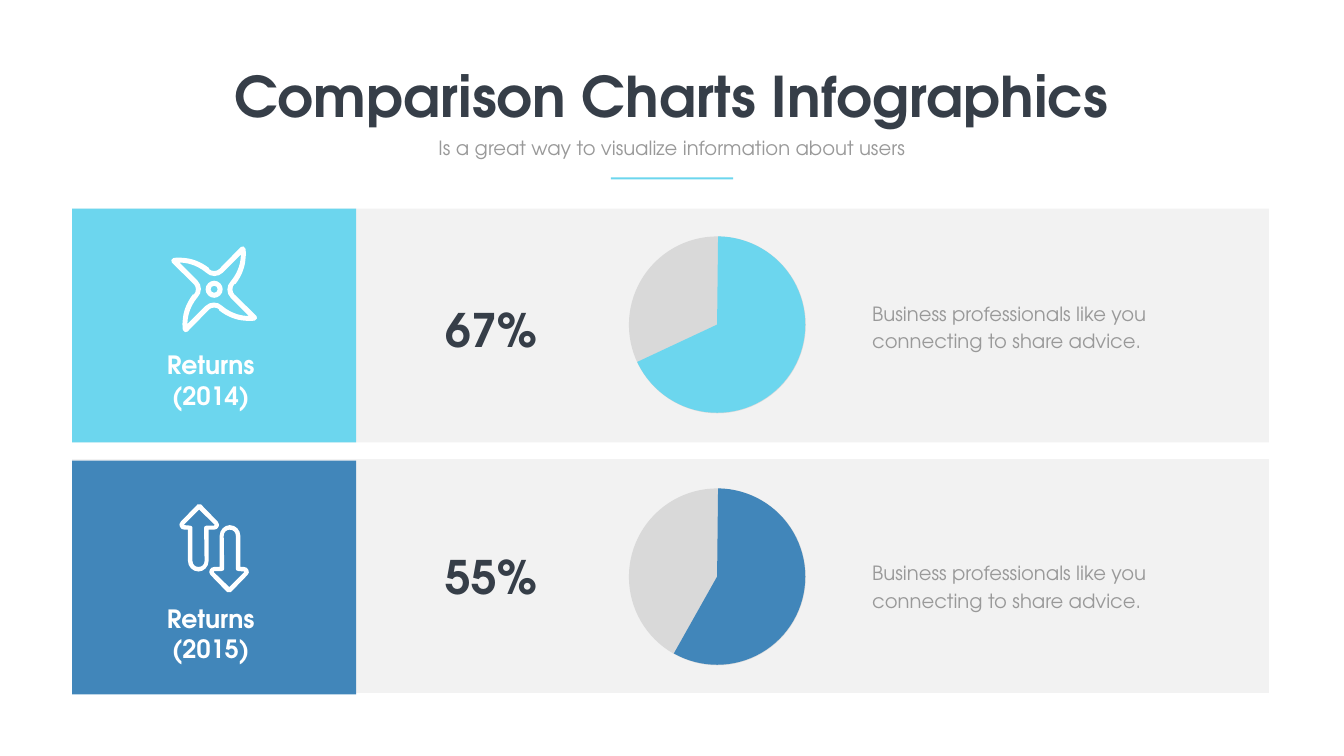
from math import cos, radians, sin

from lxml import etree
from pptx import Presentation
from pptx.dml.color import RGBColor
from pptx.enum.shapes import MSO_SHAPE
from pptx.enum.text import MSO_ANCHOR, MSO_AUTO_SIZE, PP_ALIGN
from pptx.oxml.ns import qn
from pptx.util import Inches, Pt

RECT, OVAL, PIE = MSO_SHAPE.RECTANGLE, MSO_SHAPE.OVAL, MSO_SHAPE.PIE
LEFT, CENTER = PP_ALIGN.LEFT, PP_ALIGN.CENTER
TOP, GROW = MSO_ANCHOR.TOP, MSO_AUTO_SIZE.SHAPE_TO_FIT_TEXT
FONT = "TeX Gyre Adventor"
COLORS = {"dark": "363E48", "gray": "999999", "band": "F2F2F2", "rest": "D9D9D9",
          "cyan": "6CD6EE", "blue": "4186BA", "white": "FFFFFF"}

MARGIN, BAND_W, TILE_W, ROW_H = 1.43, 23.75, 5.64, 4.64
FIRST_ROW, PITCH = 4.14, 5
ICON_X = 4.25

STAR = [
    (4, -90, [(.84, .53), (.4, .1), (.35, .05, .35, -.05, .4, -.1), (.42, -.1),
              (.56, -.28, .61, -.46, .62, -.58), (.64, -.72, .62, -.81, .62, -.81),
              (.61, -.83, .6, -.84, .58, -.85), (.56, -.85, .54, -.85, .53, -.84)]),
    (4, 90, [(.17, .34), (.16, .33), (.07, .24, -.08, .24, -.17, .33), (-.53, .69),
             (-.53, .57, -.5, .37, -.34, .17)]),
    (4, 90, [(.17, 0), (.17, .09, .09, .17, 0, .17)]),
    (4, 90, [(.07, 0), (.07, .04, .04, .07, 0, .07)]),
]
ARROW_OUTER = [
    (-.31, .46), (-.43, .46, -.52, .36, -.52, .25), (-.52, -.37), (-.59, -.37),
    (-.63, -.37, -.67, -.39, -.68, -.43), (-.7, -.46, -.69, -.5, -.66, -.53),
    (-.33, -.87), (-.31, -.88, -.28, -.88, -.26, -.87), (.07, -.53),
    (.1, -.5, .1, -.46, .09, -.43), (.07, -.39, .04, -.37, 0, -.37),
    (-.11, -.37), (-.11, .25), (-.11, .36, -.2, .46, -.31, .46)]
ARROW_INNER = [
    (-.3, -.77), (-.6, -.47), (-.6, -.46, -.59, -.46, -.59, -.46), (-.48, -.45),
    (-.45, -.45, -.43, -.43, -.43, -.41), (-.43, .25), (-.43, .32, -.38, .37, -.31, .37),
    (-.24, .37, -.19, .32, -.19, .25), (-.2, -.41), (-.2, -.43, -.18, -.45, -.15, -.45),
    (0, -.45), (.01, -.45, .01, -.46, .01, -.47)]
ARROWS = [(1, turn, path) for path in (ARROW_OUTER, ARROW_INNER) for turn in (0, 180)]

ROWS = [
    {"year": "(2014)", "share": "67%", "color": "cyan", "pie_end": 92.95, "band": 4.14,
     "icon": STAR, "icon_y": 5.74, "label": 6.89, "percent": 5.92, "note": 5.88},
    {"year": "(2015)", "share": "55%", "color": "blue", "pie_end": 71.61, "band": 9.11,
     "icon": ARROWS, "icon_y": 10.88, "label": 11.92, "percent": 10.82, "note": 11.02},
]


def add_block(shapes, kind, x, y, w, h, color):
    sp = shapes.add_shape(kind, Inches(x), Inches(y), Inches(w), Inches(h))
    sp.shadow.inherit = False
    sp.fill.solid()
    sp.fill.fore_color.rgb = RGBColor.from_string(COLORS[color])
    sp.line.fill.background()
    return sp


def put_text(sp, box, lines, size, color, bold=False, align=CENTER, wrap=True, spacing=None):
    sp.left, sp.top, sp.width, sp.height = [Inches(v) for v in box]
    tf = sp.text_frame
    tf.margin_left = tf.margin_right = Inches(.1)
    tf.margin_top = tf.margin_bottom = Inches(.05)
    tf.vertical_anchor = TOP
    tf.word_wrap = wrap
    tf.auto_size = GROW
    for i, line in enumerate(lines):
        p = tf.add_paragraph() if i else tf.paragraphs[0]
        p.alignment = align
        if spacing:
            p.line_spacing = Pt(spacing)
        r = p.add_run()
        r.text = line
        r.font.name = FONT
        r.font.size = Pt(size)
        r.font.bold = bold
        r.font.color.rgb = RGBColor.from_string(COLORS[color])


prs = Presentation()
prs.slide_width, prs.slide_height = Inches(26.67), Inches(15)
s = prs.slides.add_slide(prs.slide_layouts[5])
shapes = s.shapes

put_text(shapes.title, (4.47, 1.17, 17.71, 1.45), ["Comparison Charts Infographics"],
         80, "dark", bold=True, wrap=False)
put_text(shapes.add_textbox(0, 0, 0, 0), (8.55, 2.65, 9.56, .57),
         ["Is a great way to visualize information about users"], 28, "gray")
add_block(shapes, RECT, 12.12, 3.52, 2.43, .04, "cyan")

for i, row in enumerate(ROWS):
    top = FIRST_ROW + i * PITCH
    add_block(shapes, RECT, MARGIN, row["band"], BAND_W, ROW_H, "band")
    add_block(shapes, RECT, MARGIN, top, TILE_W, ROW_H, row["color"])
    put_text(shapes.add_textbox(0, 0, 0, 0), (1.79, row["label"], 4.78, 1.31),
             ["Returns", row["year"]], 36, "white", bold=True)
    put_text(shapes.add_textbox(0, 0, 0, 0), (8.73, row["percent"], 2.04, 1.21),
             [row["share"]], 66, "dark", bold=True, wrap=False)
    put_text(shapes.add_textbox(0, 0, 0, 0), (17.21, row["note"], 6.75, 1.18),
             ["Business professionals like you connecting to share advice."],
             28, "gray", align=LEFT, spacing=38.6)

    pie_group = shapes.add_group_shape()
    add_block(pie_group.shapes, OVAL, 12.48, top + .55, 3.51, 3.51, "rest")
    pie = add_block(pie_group.shapes, PIE, 12.48, top + .55, 3.5, 3.5, row["color"])
    pie.adjustments[0] = 162.39
    pie.adjustments[1] = row["pie_end"]

    builder, controls = None, []
    for copies, turn, path in row["icon"]:
        anchors = []
        for n in range(copies):
            angle = radians(turn * (n if copies > 1 else 1))
            for seg in path[1:] if n else path:
                spots = [(Inches(ICON_X + x * cos(angle) - y * sin(angle)),
                          Inches(row["icon_y"] + x * sin(angle) + y * cos(angle)))
                         for x, y in zip(seg[::2], seg[1::2])]
                if anchors:
                    controls.append(spots[:-1])
                anchors.append(spots[-1])
        if builder is None:
            builder = shapes.build_freeform(*anchors[0])
        else:
            builder.move_to(*anchors[0])
        builder.add_line_segments(anchors[1:], close=True)
    icon = builder.convert_to_shape()
    icon.shadow.inherit = False
    icon.fill.solid()
    icon.fill.fore_color.rgb = RGBColor.from_string(COLORS["white"])
    icon.line.fill.background()
    for line, handles in zip(list(icon.element.iter(qn("a:lnTo"))), controls):
        if handles:
            line.tag = qn("a:cubicBezTo")
            for k, (x, y) in enumerate(handles):
                line.insert(k, etree.Element(qn("a:pt"), x=str(x - icon.left), y=str(y - icon.top)))

prs.save("out.pptx")
